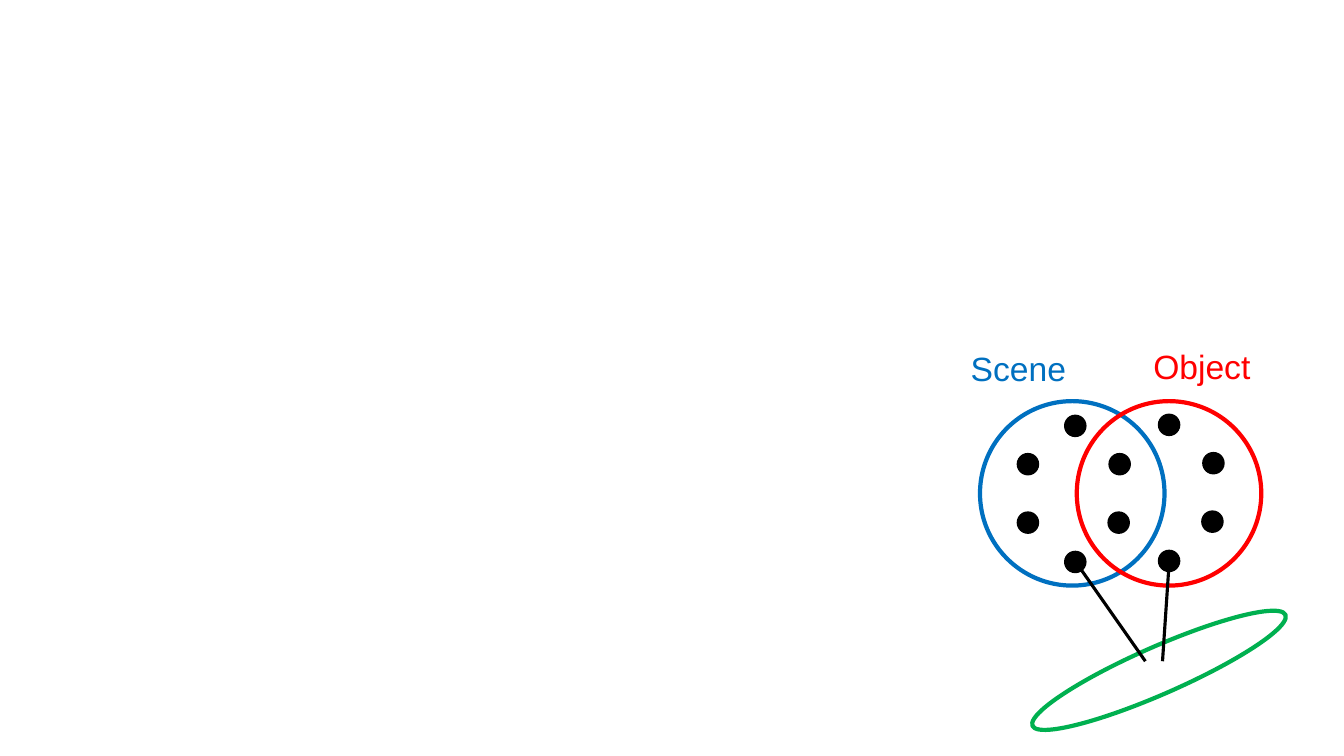
from dataclasses import dataclass

from lxml.etree import SubElement
from pptx import Presentation
from pptx.dml.color import RGBColor as Color
from pptx.enum.shapes import MSO_CONNECTOR as Connector, MSO_SHAPE as Shape
from pptx.enum.text import MSO_AUTO_SIZE as AutoSize
from pptx.oxml.ns import qn
from pptx.util import Inches, Pt


@dataclass(frozen=True)
class Theme:
    font: str = "Arial"
    label_size: int = 24
    dot_line: float = 1
    outline: float = 3
    ray_line: float = 2.25
    black: str = "000000"
    scene: str = "0070C0"
    object: str = "FF0000"
    plane: str = "00B050"


class VennSlide:
    """Draws the dots, outlines, labels and rays of one slide in one theme."""

    def __init__(self, slide, theme):
        self.shapes = slide.shapes
        self.theme = theme

    def ellipse(self, left, top, width, height, color, weight, filled=False, rotation=0):
        shape = self.shapes.add_shape(
            Shape.OVAL, Inches(left), Inches(top), Inches(width), Inches(height))
        shape.shadow.inherit = False
        shape.rotation = rotation
        if filled:
            shape.fill.solid()
            shape.fill.fore_color.rgb = Color.from_string(color)
        else:
            shape.fill.background()
        self.format_line(shape.line, color, weight)

    def dot(self, left, top):
        self.ellipse(left, top, 0.21, 0.21, self.theme.black, self.theme.dot_line, filled=True)

    def label(self, text, left, top, width, color):
        frame = self.shapes.add_textbox(
            Inches(left), Inches(top), Inches(width), Inches(0.5)).text_frame
        frame.word_wrap = False
        frame.auto_size = AutoSize.SHAPE_TO_FIT_TEXT
        run = frame.paragraphs[0].add_run()
        run.text = text
        font_format = {"name": self.theme.font, "size": Pt(self.theme.label_size)}
        for name, value in font_format.items():
            setattr(run.font, name, value)
        run.font.color.rgb = Color.from_string(color)

    def ray(self, start, end):
        connector = self.shapes.add_connector(
            Connector.STRAIGHT, *(Inches(length) for length in start + end))
        SubElement(connector.element.spPr, qn("a:effectLst"))
        self.format_line(connector.line, self.theme.black, self.theme.ray_line)

    def format_line(self, line, color, weight):
        line.color.rgb = Color.from_string(color)
        line.width = Pt(weight)


def main():
    theme = Theme()
    presentation = Presentation()
    presentation.slide_width = Inches(13.33)
    presentation.slide_height = Inches(7.5)
    blank_layout = presentation.slide_layouts[6]
    venn = VennSlide(presentation.slides.add_slide(blank_layout), theme)

    dots = [
        (10.56, 4.12), (11, 4.5), (10.99, 5.08), (10.56, 5.47), (10.09, 5.08),
        (10.09, 4.5), (11.49, 4.11), (11.93, 4.49), (11.92, 5.07), (11.49, 5.46),
    ]
    for left, top in dots:
        venn.dot(left, top)

    for left, color in [(9.72, theme.scene), (10.68, theme.object)]:
        venn.ellipse(left, 3.98, 1.83, 1.83, color, theme.outline)

    venn.label("Scene", 9.53, 3.4, 1.16, theme.scene)
    venn.label("Object", 11.34, 3.38, 1.17, theme.object)

    venn.ellipse(11.26, 5.28, 0.47, 2.74, theme.plane, theme.outline, rotation=246.3)

    venn.ray((10.68, 5.59), (11.36, 6.56))
    venn.ray((11.59, 5.67), (11.53, 6.56))

    presentation.save("out.pptx")


if __name__ == "__main__":
    main()
